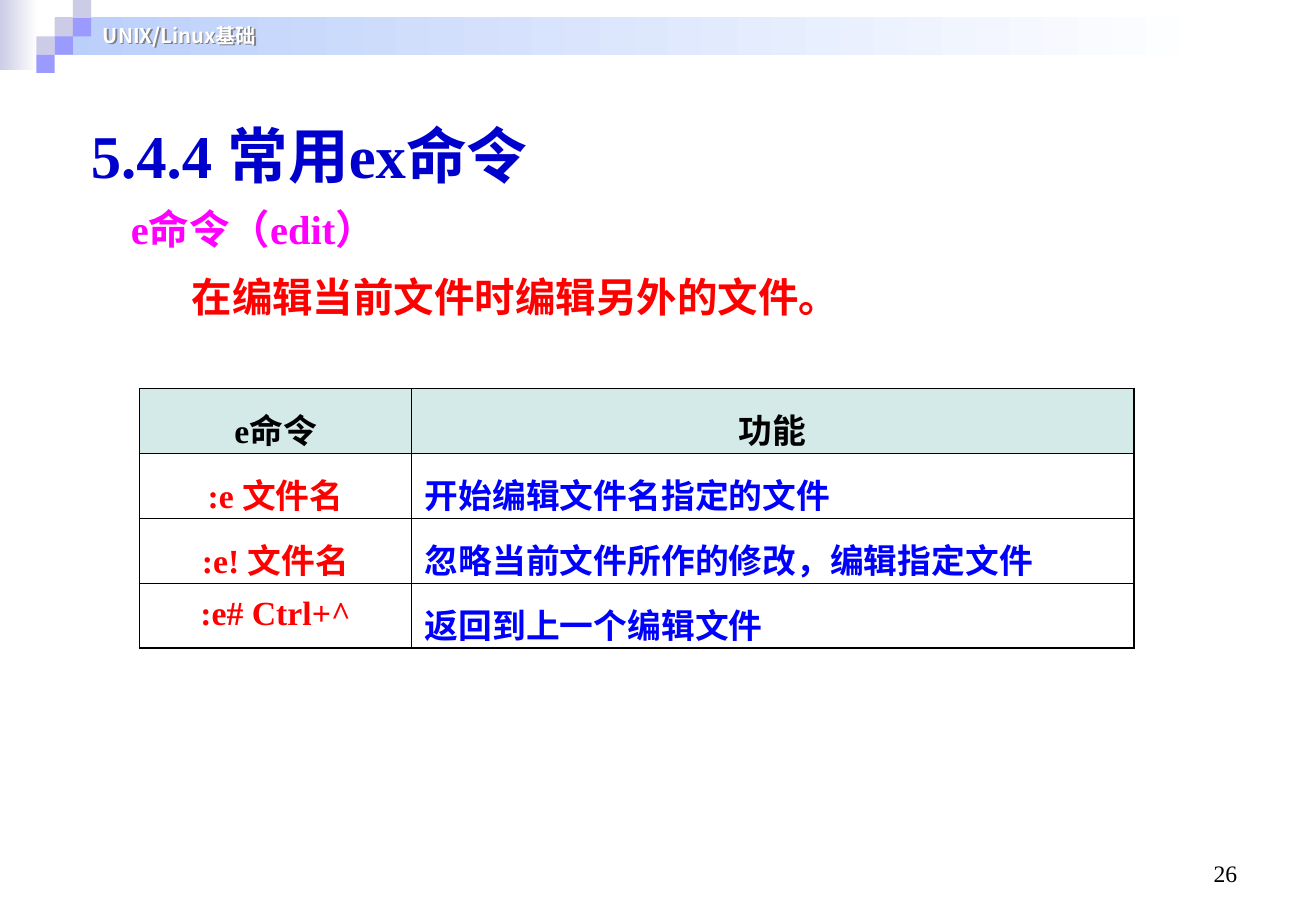
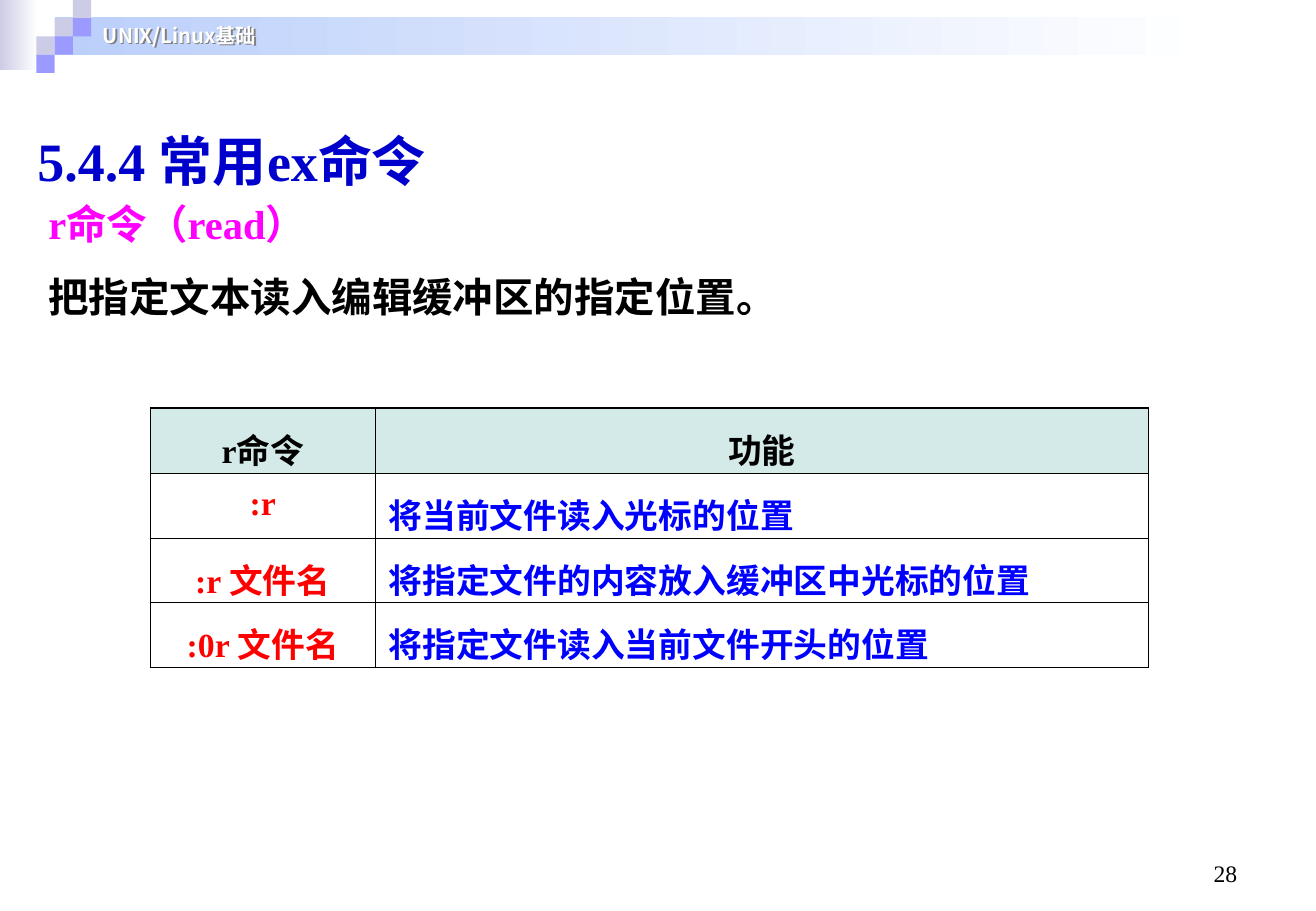
from pptx import Presentation
from pptx.dml.color import RGBColor
from pptx.enum.shapes import MSO_CONNECTOR, MSO_SHAPE
from pptx.enum.text import MSO_ANCHOR, MSO_AUTO_SIZE, PP_ALIGN
from pptx.oxml import parse_xml
from pptx.oxml.ns import nsdecls
from pptx.util import Inches, Pt

RECTANGLE = MSO_SHAPE.RECTANGLE
STRAIGHT = MSO_CONNECTOR.STRAIGHT
LEFT, CENTER, RIGHT = PP_ALIGN.LEFT, PP_ALIGN.CENTER, PP_ALIGN.RIGHT
TOP, BOTTOM = MSO_ANCHOR.TOP, MSO_ANCHOR.BOTTOM
FIXED_SIZE = MSO_AUTO_SIZE.NONE

COLORS = {
    "white": "FFFFFF",
    "black": "000000",
    "lavender": "CCCCE6",
    "violet": "9B9BFF",
    "band": "BBCFFB",
    "title": "0000CC",
    "command": "FF00FF",
    "red": "FF0000",
    "blue": "0000FF",
    "table_head": "D3EAE9",
    "text_shadow": "808080",
}
SERIF = "Times New Roman"
SANS = "Noto Sans CJK JP"

SQUARE = 0.15
SQUARE_CELLS = {  # column and row of each small square
    "lavender": [(3, 1), (4, 0), (2, 2)],
    "violet": [(4, 1), (3, 2), (2, 3)],
}
ROW_HEIGHT = 0.53
OUTER_BORDER, INNER_BORDER = 1.08, 0.45


def rgb(color):
    return RGBColor.from_string(COLORS[color])


def inches(box):
    return [Inches(length) for length in box]


def element(xml):
    """Parse one DrawingML element whose tag is followed by {ns}."""
    return parse_xml(xml.replace("{ns}", nsdecls("a")))


def write(paragraph, text, size, color, bold=True, font=SERIF,
          align=LEFT, line_spacing=None):
    paragraph.text = text
    paragraph.alignment = align
    if line_spacing:
        paragraph.line_spacing = line_spacing
    for run in paragraph.runs:
        run.font.size = Pt(size)
        run.font.bold = bold
        run.font.color.rgb = rgb(color)
        run.font.name = font
        run.font._element.append(element(f'<a:ea {{ns}} typeface="{SANS}"/>'))


def set_up_frame(shape, anchor=TOP, wrap=True):
    frame = shape.text_frame
    frame.word_wrap = wrap
    frame.auto_size = FIXED_SIZE
    frame.vertical_anchor = anchor
    return frame


def add_text_frame(slide, box, anchor=TOP, wrap=True):
    return set_up_frame(slide.shapes.add_textbox(*inches(box)), anchor, wrap)


def add_block(slide, box, color, fade=False):
    """Rectangle in one colour, or fading from it to white."""
    block = slide.shapes.add_shape(RECTANGLE, *inches(box))
    block.shadow.inherit = False
    block.line.fill.background()
    if fade:
        block.fill.gradient()
        block.fill.gradient_angle = 0
        for stop, shade in zip(block.fill.gradient_stops, (color, "white")):
            stop.color.rgb = rgb(shade)
    else:
        block.fill.solid()
        block.fill.fore_color.rgb = rgb(color)
    return block


def add_header(slide):
    rule = slide.shapes.add_connector(STRAIGHT, *inches((0.2, 0.49, 7.44, 0.49)))
    rule.line.color.rgb = rgb("white")
    rule.line.width = Pt(2.25)
    rule._element.spPr.append(element("<a:effectLst {ns}/>"))

    add_block(slide, (0, 0, 0.31, 0.58), "lavender", fade=True)
    add_block(slide, (0.45, 0.14, 9.55, 0.31), "band", fade=True)
    for color, cells in SQUARE_CELLS.items():
        for column, row in cells:
            add_block(slide, (column * SQUARE, row * SQUARE, SQUARE, SQUARE), color)

    # Course name; the shadow of an unfilled box falls from its letters
    course = slide.shapes.add_textbox(*inches((0.75, 0.14, 5.35, 0.3)))
    write(set_up_frame(course).paragraphs[0], "UNIX/Linux基础", 12, "white", font=SANS)
    course._element.spPr.append(element(
        '<a:effectLst {ns}><a:outerShdw dist="17961" dir="2700000">'
        f'<a:srgbClr val="{COLORS["text_shadow"]}"/></a:outerShdw></a:effectLst>'))


def add_page_number(slide, number):
    frame = add_text_frame(slide, (7.76, 6.83, 2.53, 0.52), anchor=BOTTOM)
    write(frame.paragraphs[0], number, 14, "black", bold=False, align=RIGHT)


def write_title(frame, size, line_spacing=None):
    write(frame.paragraphs[0], "5.4.4 常用ex命令", size, "title",
          line_spacing=line_spacing)


def add_intro(slide, box, command, purpose, color, line_spacing):
    """Command name and its purpose; returns the purpose paragraph."""
    frame = add_text_frame(slide, box)
    write(frame.paragraphs[0], command, 24, "command", line_spacing=line_spacing)
    purpose_line = frame.add_paragraph()
    write(purpose_line, purpose, 24, color, line_spacing=line_spacing)
    return purpose_line


def set_borders(cell, outer_sides):
    properties = cell._tc.get_or_add_tcPr()
    for side in "LRTB":
        width = Pt(OUTER_BORDER if side in outer_sides else INNER_BORDER)
        properties.append(element(
            f'<a:ln{side} {{ns}} w="{int(width)}"><a:solidFill>'
            f'<a:srgbClr val="{COLORS["black"]}"/></a:solidFill></a:ln{side}>'))


def add_command_table(slide, left, top, widths, rows):
    box = (left, top, sum(widths), ROW_HEIGHT * len(rows))
    table = slide.shapes.add_table(len(rows), len(widths), *inches(box)).table
    table.first_row = table.horz_banding = False
    for column, width in zip(table.columns, widths):
        column.width = Inches(width)

    for r, texts in enumerate(rows):
        table.rows[r].height = Inches(ROW_HEIGHT)
        for c, text in enumerate(texts):
            cell = table.cell(r, c)
            cell.margin_left = cell.margin_right = Inches(0.11)
            cell.margin_top, cell.margin_bottom = Inches(0.01), 0
            set_borders(cell, ("L" if c == 0 else "R")
                        + ("T" if r == 0 else "")
                        + ("B" if r == len(rows) - 1 else ""))
            if r == 0:
                cell.fill.solid()
                cell.fill.fore_color.rgb = rgb("table_head")
                color, align = "black", CENTER
            else:
                cell.fill.background()
                color, align = (("red", CENTER), ("blue", LEFT))[c]
            write(cell.text_frame.paragraphs[0], text, 20, color,
                  align=align, line_spacing=1.3)


def add_slide(presentation, number):
    slide = presentation.slides.add_slide(presentation.slide_layouts[6])
    add_header(slide)
    add_page_number(slide, number)
    return slide


def add_edit_slide(presentation):
    slide = add_slide(presentation, "26")
    write_title(add_text_frame(slide, (0.65, 0.92, 4.15, 0.7), wrap=False), 36)
    purpose = add_intro(slide, (0.98, 1.47, 7.17, 1.22), "e命令（edit）",
                        "在编辑当前文件时编辑另外的文件。", "red", 1.4)
    purpose.level = 1
    purpose._p.get_or_add_pPr().set("marL", str(Inches(0.5)))
    add_command_table(slide, 1.15, 3.2, (2.24, 5.95), [
        ("e命令", "功能"),
        (":e 文件名", "开始编辑文件名指定的文件"),
        (":e! 文件名", "忽略当前文件所作的修改，编辑指定文件"),
        (":e# Ctrl+^", "返回到上一个编辑文件"),
    ])


def add_read_slide(presentation):
    slide = add_slide(presentation, "28")
    title_block = add_block(slide, (0.21, 0.84, 5.99, 0.66), "white")
    write_title(set_up_frame(title_block), 32, line_spacing=1.3)
    purpose = add_intro(slide, (0.3, 1.47, 9.43, 1.42), "r命令（read）",
                        "把指定文本读入编辑缓冲区的指定位置。", "black", 1.3)
    purpose.space_before = Pt(6)
    add_command_table(slide, 1.24, 3.36, (1.85, 6.37), [
        ("r命令", "功能"),
        (":r", "将当前文件读入光标的位置"),
        (":r 文件名", "将指定文件的内容放入缓冲区中光标的位置"),
        (":0r 文件名", "将指定文件读入当前文件开头的位置"),
    ])


def main():
    presentation = Presentation()
    presentation.slide_width = Inches(10.84)
    presentation.slide_height = Inches(7.5)
    add_edit_slide(presentation)
    add_read_slide(presentation)
    presentation.save("out.pptx")


if __name__ == "__main__":
    main()
